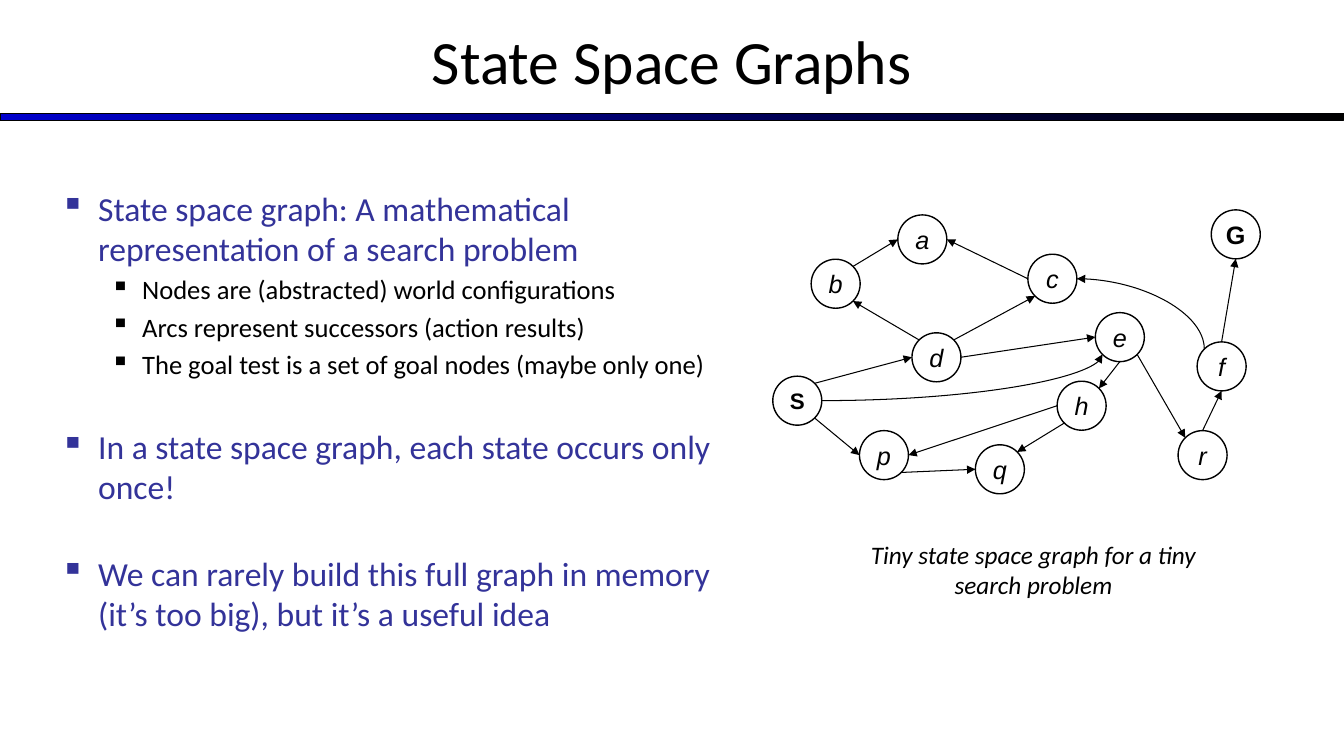
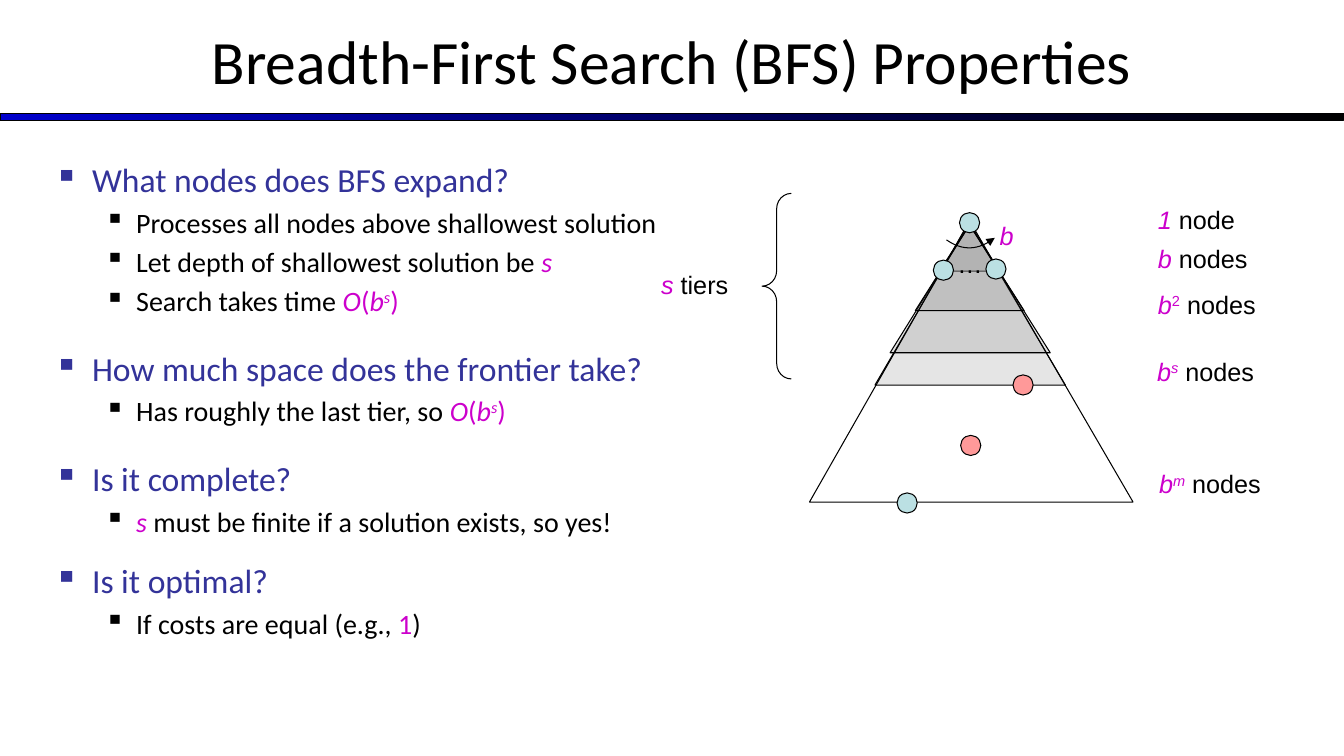
from dataclasses import dataclass
from math import cos, radians, sin

from lxml.etree import SubElement
from pptx import Presentation
from pptx.dml.color import RGBColor
from pptx.enum.shapes import MSO_CONNECTOR, MSO_SHAPE
from pptx.enum.text import MSO_ANCHOR, PP_ALIGN
from pptx.oxml.ns import qn
from pptx.util import Pt


@dataclass(frozen=True)
class Theme:
    black: RGBColor = RGBColor(0x00, 0x00, 0x00)
    band: RGBColor = RGBColor(0x00, 0x00, 0xCC)
    heading: RGBColor = RGBColor(0x33, 0x33, 0x99)
    math: RGBColor = RGBColor(0xCC, 0x00, 0xCC)
    tier: RGBColor = RGBColor(0x80, 0x80, 0x80)
    node: RGBColor = RGBColor(0xBB, 0xE0, 0xE3)
    goal: RGBColor = RGBColor(0xFF, 0x99, 0x99)
    text_font: str = "Calibri"
    label_font: str = "Arial"
    title_size: int = 44
    heading_size: int = 24
    label_size: int = 18
    start_size: int = 16


theme = Theme()


def add_runs(para, runs, size, font, color):
    """Runs are (text, flags): m math colour, i italic, b bold, ^ superscript."""
    for text, flags in runs:
        span = para.add_run()
        span.text = text
        span.font.size = Pt(size)
        span.font.name = font
        span.font.bold = "b" in flags
        span.font.italic = "i" in flags
        span.font.color.rgb = theme.math if "m" in flags else color
        if "^" in flags:
            span.font._element.set("baseline", "30000")


def draw_line(shape, width=0.75, arrow=None):
    """Black line without shadow; arrow is headEnd (start) or tailEnd (end)."""
    shape.line.color.rgb = theme.black
    shape.line.width = Pt(width)
    if arrow:
        SubElement(shape.line._get_or_add_ln(), qn("a:" + arrow), type="triangle")
    if hasattr(shape, "shadow"):
        shape.shadow.inherit = False
    else:
        SubElement(shape._element.spPr, qn("a:effectLst"))


deck = Presentation()
deck.slide_width, deck.slide_height = Pt(960), Pt(540)

# Pages with band and title
pages = []
for title in ("State Space Graphs", "Breadth-First Search (BFS) Properties"):
    page = deck.slides.add_slide(deck.slide_layouts[6])
    pages.append(page)
    band = page.shapes.add_shape(MSO_SHAPE.RECTANGLE, 0, Pt(81), Pt(960), Pt(5))
    band.fill.gradient()
    band.fill.gradient_angle = 0
    for stop, color in zip(band.fill.gradient_stops, (theme.band, theme.black)):
        stop.color.rgb = color
    draw_line(band)
    box = page.shapes.add_textbox(0, Pt(-2), Pt(960), Pt(90))
    box.text_frame.word_wrap = True
    box.text_frame.vertical_anchor = MSO_ANCHOR.MIDDLE
    para = box.text_frame.paragraphs[0]
    para.alignment = PP_ALIGN.CENTER
    add_runs(para, [(title, "")], theme.title_size, theme.text_font, theme.black)
graph_page, bfs_page = pages

# Outlines: groups of (space before, heading, points)
big_o = [("O", "mi"), ("(", "m"), ("b", "mi"), ("s", "mi^"), (")", "m")]
graph_outline = [
    (0, "State space graph: A mathematical representation of a search problem", [
        [("Nodes are (abstracted) world configurations", "")],
        [("Arcs represent successors (action results)", "")],
        [("The goal test is a set of goal nodes (maybe only one)", "")]]),
    (33, "In a state space graph, each state occurs only once!", []),
    (33, "We can rarely build this full graph in memory "
         "(it’s too big), but it’s a useful idea", []),
]
bfs_outline = [
    (0, "What nodes does BFS expand?", [
        [("Processes all nodes above shallowest solution", "")],
        [("Let depth of shallowest solution be ", ""), ("s", "mi")],
        [("Search takes time ", "")] + big_o]),
    (22, "How much space does the frontier take?", [
        [("Has roughly the last tier, so ", "")] + big_o]),
    (22, "Is it complete?", [
        [("s", "mi"), (" must be finite if a solution exists, so yes!", "")]]),
    (16, "Is it optimal?", [
        [("If costs are equal (e.g., ", ""), ("1", "m"), (")", "")]]),
]
for page, outline, left, top, width, height, point_size in (
        (graph_page, graph_outline, 36, 130.3, 498, 356, 19),
        (bfs_page, bfs_outline, 31.7, 110.2, 448, 372, 20)):
    box = page.shapes.add_textbox(Pt(left), Pt(top), Pt(width), Pt(height))
    box.text_frame.word_wrap = True
    lines = []
    for gap, heading, points in outline:
        lines.append((gap, [(heading, "")], theme.heading_size, theme.heading, 27, 27))
        lines += [(point_size / 5, runs, point_size, theme.black, 58.5, 22.5)
                  for runs in points]
    for index, (gap, runs, size, color, margin, hang) in enumerate(lines):
        para = box.text_frame.add_paragraph() if index else box.text_frame.paragraphs[0]
        props = para._p.get_or_add_pPr()
        props.set("marL", str(Pt(margin)))
        props.set("indent", str(-Pt(hang)))
        SubElement(SubElement(props, qn("a:buClr")), qn("a:srgbClr"), val=str(color))
        SubElement(props, qn("a:buChar"), char="▪")
        para.space_before = Pt(gap)
        add_runs(para, runs, size, theme.text_font, color)

# State graph: nodes by centre
diameter = 35
nodes = {
    "S": (569.5, 286.2), "G": (882.7, 167.4), "d": (668.9, 255.2),
    "b": (596.9, 202.7), "p": (631.4, 325.1), "q": (714.2, 335.2),
    "c": (751.7, 199.1), "e": (799.9, 240.8), "h": (772.6, 289.8),
    "a": (658.8, 171), "f": (872.6, 261.7), "r": (859, 325.1),
}
for name, (x, y) in nodes.items():
    circle = graph_page.shapes.add_shape(
        MSO_SHAPE.FLOWCHART_CONNECTOR, Pt(x - diameter / 2), Pt(y - diameter / 2),
        Pt(diameter), Pt(diameter))
    circle.fill.background()
    draw_line(circle, 1)
    circle.text_frame.word_wrap = False
    circle.text_frame.vertical_anchor = MSO_ANCHOR.MIDDLE
    para = circle.text_frame.paragraphs[0]
    para.alignment = PP_ALIGN.CENTER
    add_runs(para, [(name, "b" if name.isupper() else "i")],
             theme.start_size if name == "S" else theme.label_size,
             theme.label_font, theme.black)

# State graph: arcs between compass points of the nodes
compass = {side: radians(45 * step) for step, side in
           enumerate(("E", "SE", "S", "SW", "W", "NW", "N", "NE"))}
straight, curve = MSO_CONNECTOR.STRAIGHT, MSO_CONNECTOR.CURVE
arcs = [
    ("S", "SE", "p", "W"), ("p", "SE", "q", "W"), ("h", "SW", "q", "NE"),
    ("h", "W", "p", "E"), ("e", "S", "h", "NE"), ("e", "SE", "r", "NW"),
    ("r", "N", "f", "S"), ("f", "N", "G", "S"), ("S", "NE", "d", "W"),
    ("d", "NW", "b", "SE"), ("b", "NE", "a", "W"), ("c", "W", "a", "E"),
    ("d", "NE", "c", "SW"), ("d", "E", "e", "W"),
]
links = [(straight, "tailEnd", *arc) for arc in arcs]
links += [(curve, "headEnd", "c", "E", "f", "NW"),
          (curve, "tailEnd", "S", "E", "e", "SW")]
for kind, arrow, start, start_side, end, end_side in links:
    ends = []
    for name, side in ((start, start_side), (end, end_side)):
        ends += [Pt(nodes[name][0] + diameter / 2 * cos(compass[side])),
                 Pt(nodes[name][1] + diameter / 2 * sin(compass[side]))]
    link = graph_page.shapes.add_connector(kind, *ends)
    if kind == curve:
        link._element.spPr.find(qn("a:prstGeom")).set("prst", "curvedConnector2")
    draw_line(link, arrow=arrow)

# State graph: caption
box = graph_page.shapes.add_textbox(Pt(606.2), Pt(381.6), Pt(264), Pt(51))
box.text_frame.word_wrap = True
para = box.text_frame.paragraphs[0]
para.alignment = PP_ALIGN.CENTER
add_runs(para, [("Tiny state space graph for a tiny search problem", "i")],
         theme.label_size, theme.text_font, theme.black)

# Search tree: nested triangles sharing one apex column
apex_x = 692.6
for apex_y, left, right, base, shaded in (
        (160.6, 671, 714.2, 193.7, True), (159.1, 625, 761, 275, True),
        (160.6, 635.8, 750.2, 252, True), (160.6, 653.8, 731.5, 221.8, True),
        (157.7, 578.2, 809.3, 358.6, False)):
    builder = bfs_page.shapes.build_freeform(Pt(apex_x), Pt(apex_y))
    builder.add_line_segments([(Pt(left), Pt(base)), (Pt(right), Pt(base))])
    triangle = builder.convert_to_shape()
    if shaded:
        triangle.fill.solid()
        triangle.fill.fore_color.rgb = theme.tier
        shade = triangle._element.spPr.find(qn("a:solidFill"))[0]
        SubElement(shade, qn("a:alpha"), val="20000")
    else:
        triangle.fill.background()
    draw_line(triangle)

# Search tree: nodes by centre
dot = 14.4
for x, y, color in (
        (apex_x, 159.1, theme.node), (673.9, 193, theme.node),
        (711.4, 192.2, theme.node), (648, 359.3, theme.node),
        (730.8, 275, theme.goal), (693.4, 318.2, theme.goal)):
    circle = bfs_page.shapes.add_shape(
        MSO_SHAPE.OVAL, Pt(x - dot / 2), Pt(y - dot / 2), Pt(dot), Pt(dot))
    circle.fill.solid()
    circle.fill.fore_color.rgb = color
    draw_line(circle)

# Search tree: branching sweep, a parabola through its lowest point
sweep_left, sweep_right, steps = 676.1, 710.6, 16
sweep = []
for step in range(steps + 1):
    t = step / steps
    sweep.append((Pt(sweep_left + (sweep_right - sweep_left) * t),
                  Pt(171.4 - 1.5 * t + 25.6 * t * (1 - t))))
builder = bfs_page.shapes.build_freeform(*sweep[0])
builder.add_line_segments(sweep[1:], close=False)
arc = builder.convert_to_shape()
arc.fill.background()
draw_line(arc, arrow="tailEnd")

# Search tree: brace over the tiers
brace = bfs_page.shapes.add_shape(
    MSO_SHAPE.LEFT_BRACE, Pt(544.3), Pt(138.2), Pt(20.9), Pt(132.5))
brace.adjustments[0] = 0.53
brace.fill.background()
draw_line(brace)

# Search tree: labels
nodes_word = (" nodes", "")
for left, top, width, runs in (
        (676.8, 173.5, 21.6, [("…", "")]),
        (707, 154.1, 23.8, [("b", "mi")]),
        (465.1, 188.6, 99.4, [("s", "mi"), (" tiers", "")]),
        (820, 142.6, 88, [("1", "mi"), (" node", "")]),
        (820, 170.6, 88, [("b", "mi"), nodes_word]),
        (820, 203, 88, [("b", "mi"), ("2", "m^"), nodes_word]),
        (819.4, 250.6, 115, [("b", "mi"), ("s", "mi^"), nodes_word]),
        (820.8, 331.2, 115, [("b", "mi"), ("m", "mi^"), nodes_word])):
    box = bfs_page.shapes.add_textbox(Pt(left), Pt(top), Pt(width), Pt(29))
    box.text_frame.word_wrap = True
    add_runs(box.text_frame.paragraphs[0], runs, theme.label_size,
             theme.label_font, theme.black)

deck.save("out.pptx")
